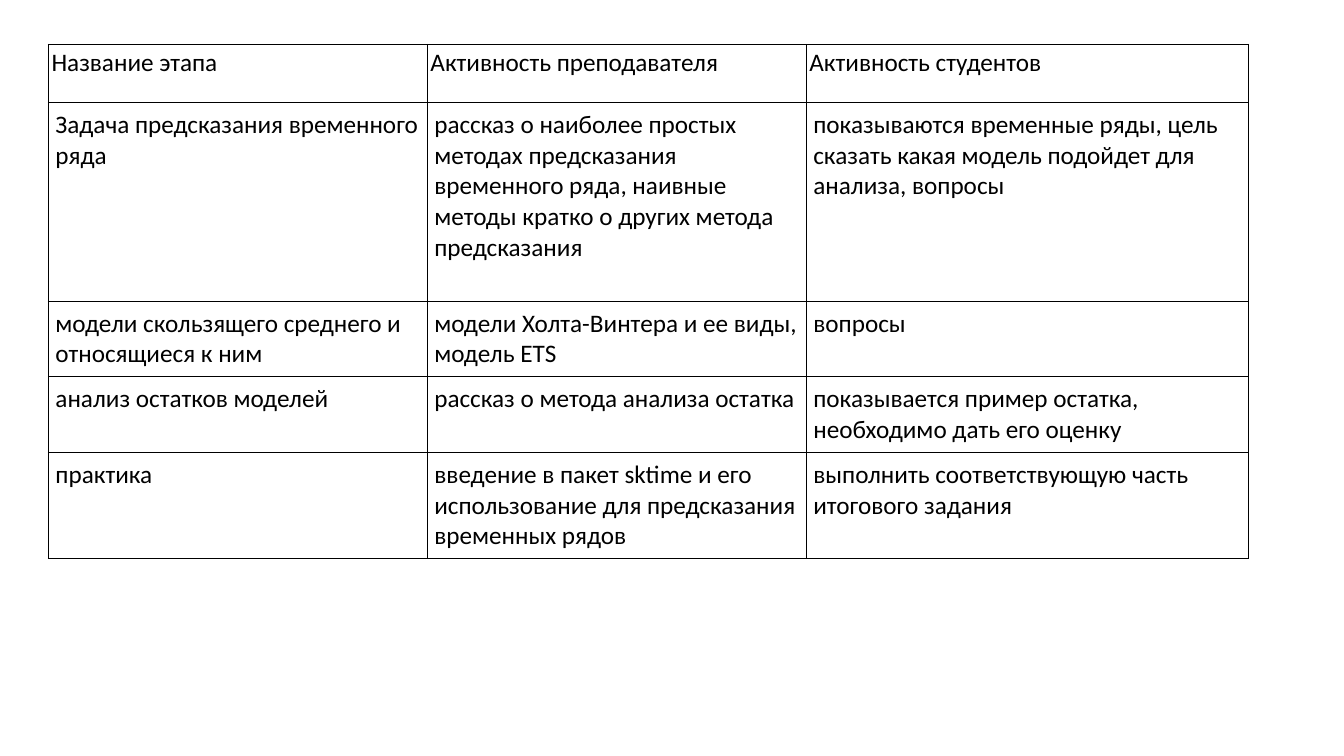
from lxml import etree
from pptx import Presentation
from pptx.dml.color import RGBColor
from pptx.oxml.ns import qn
from pptx.util import Pt

BLANK_LAYOUT = 6
FONT = "Calibri"
BLACK = "000000"
COLUMN_WIDTHS = [270.7, 270.7, 316.1]
ROW_HEIGHTS = [41.5, 142, 54, 54, 75.8]
HEADER_INSET, BODY_INSET = 2.2, 5

STAGES = [
    ["Название этапа", "Активность преподавателя", "Активность студентов"],
    ["Задача предсказания временного ряда",
     "рассказ о наиболее простых методах предсказания временного ряда, "
     "наивные методы кратко о других метода предсказания",
     "показываются временные ряды, цель сказать какая модель подойдет "
     "для анализа, вопросы"],
    ["модели скользящего среднего и относящиеся к ним",
     "модели Холта-Винтера и ее виды, модель ETS",
     "вопросы"],
    ["анализ остатков моделей",
     "рассказ о метода анализа остатка",
     "показывается пример остатка, необходимо дать его оценку"],
    ["практика",
     "введение в пакет sktime и его использование для предсказания "
     "временных рядов",
     "выполнить соответствующую часть итогового задания"],
]


def color(hex_value):
    return RGBColor.from_string(hex_value)


def set_borders(cell, hex_value, width):
    tc_pr = cell._tc.get_or_add_tcPr()
    for index, side in enumerate(("lnL", "lnR", "lnT", "lnB")):
        ln = etree.Element(qn(f"a:{side}"), w=str(Pt(width)))
        fill = etree.SubElement(ln, qn("a:solidFill"))
        etree.SubElement(fill, qn("a:srgbClr"), val=hex_value)
        tc_pr.insert(index, ln)


def fill_cell(cell, text, inset):
    cell.fill.background()
    set_borders(cell, BLACK, 1)
    cell.margin_left = cell.margin_right = Pt(inset)
    cell.margin_top = cell.margin_bottom = Pt(inset)
    cell.text_frame.text = text
    font = cell.text_frame.paragraphs[0].runs[0].font
    font.name, font.size, font.bold = FONT, Pt(18), False
    font.color.rgb = color(BLACK)


def add_stage_table(s, left, top):
    frame = s.shapes.add_table(
        len(STAGES), len(COLUMN_WIDTHS), Pt(left), Pt(top),
        Pt(sum(COLUMN_WIDTHS)), Pt(sum(ROW_HEIGHTS)))
    table = frame.table
    table.horz_banding = False
    for column, width in zip(table.columns, COLUMN_WIDTHS):
        column.width = Pt(width)
    for row, height, texts in zip(table.rows, ROW_HEIGHTS, STAGES):
        row.height = Pt(height)
        inset = HEADER_INSET if texts is STAGES[0] else BODY_INSET
        for cell, text in zip(row.cells, texts):
            fill_cell(cell, text, inset)


def main():
    prs = Presentation()
    prs.slide_width, prs.slide_height = Pt(960), Pt(540)
    s = prs.slides.add_slide(prs.slide_layouts[BLANK_LAYOUT])

    # Lesson plan
    add_stage_table(s, 34.6, 31.7)

    prs.save("out.pptx")


if __name__ == "__main__":
    main()
